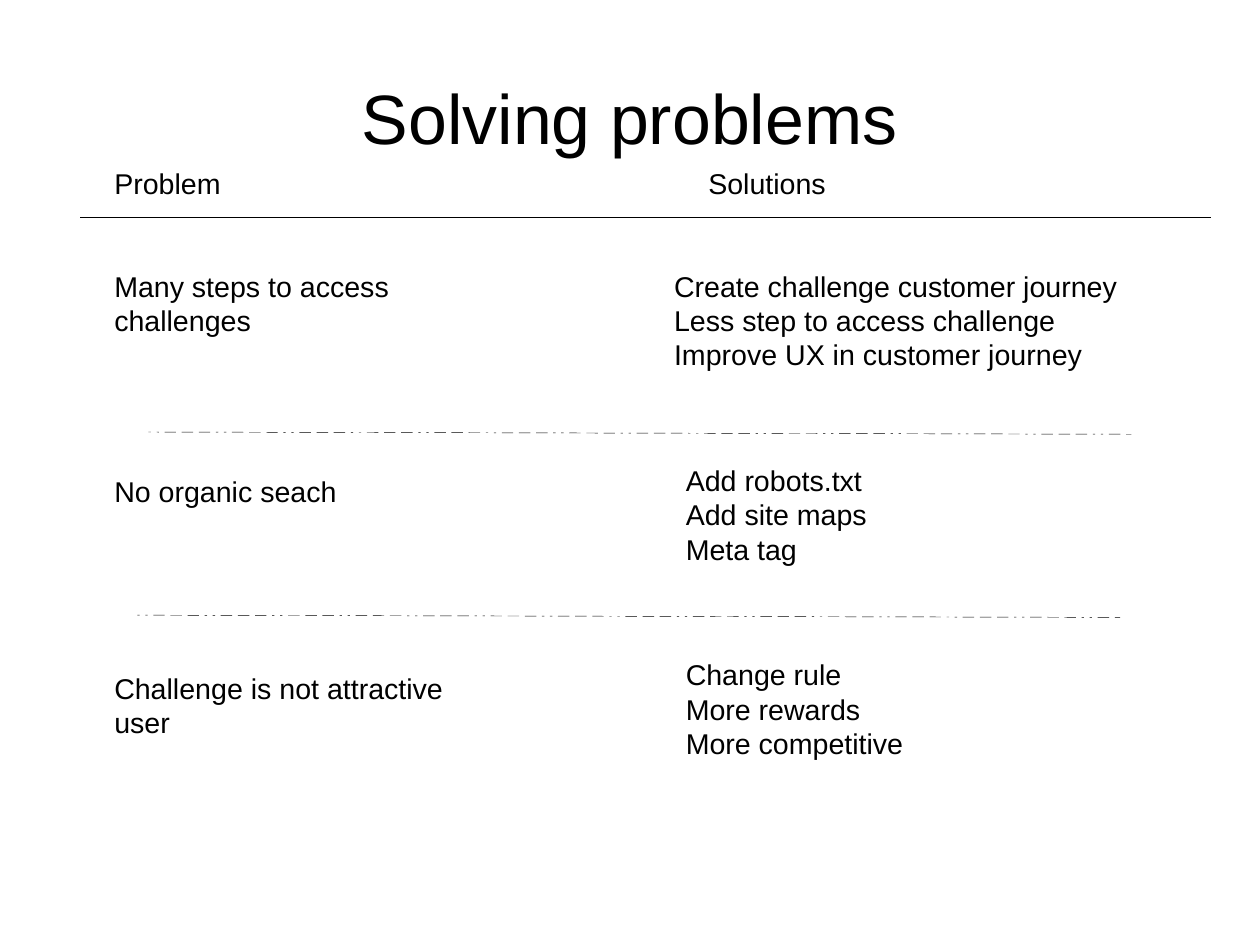
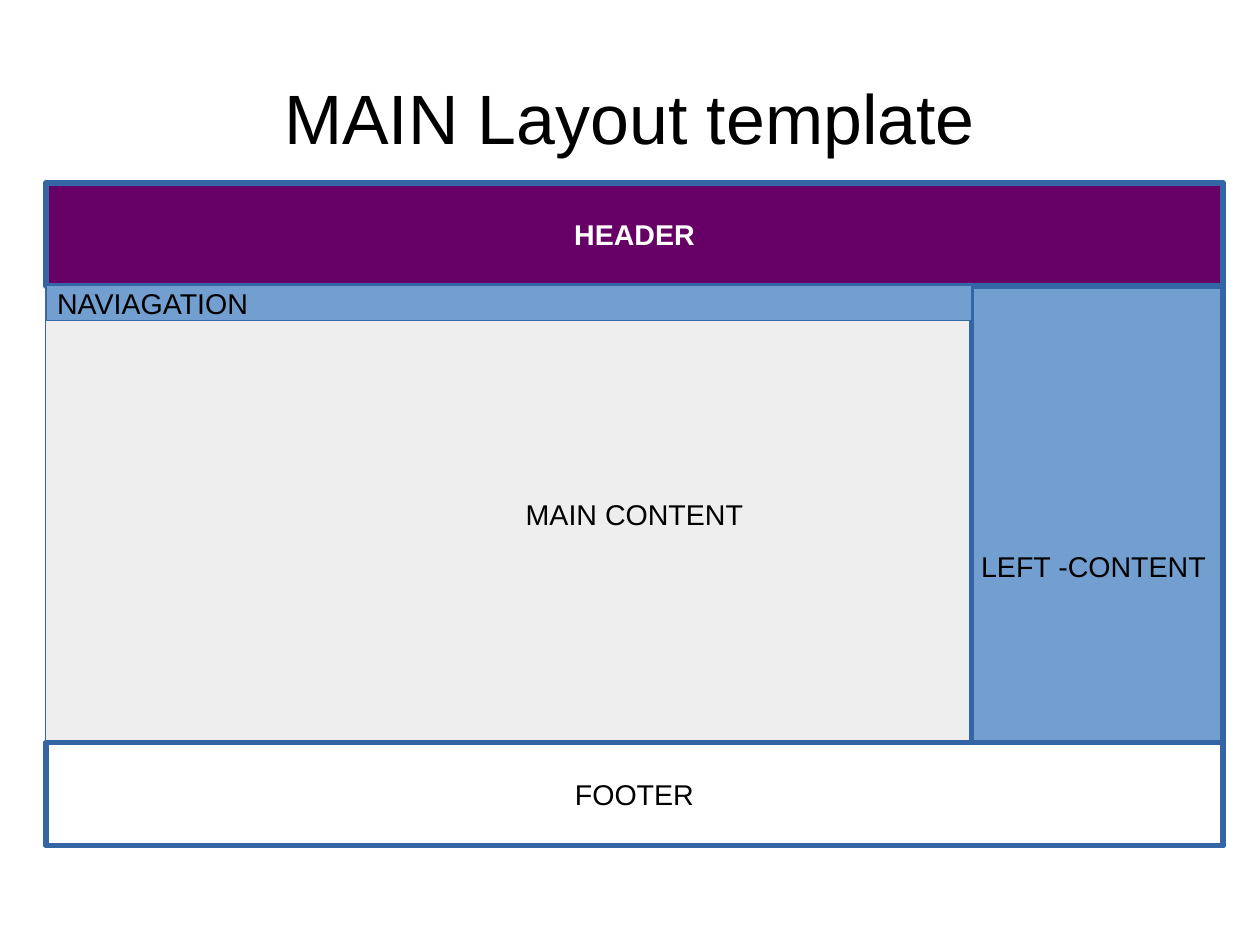
from lxml import etree
from pptx import Presentation
from pptx.dml.color import RGBColor
from pptx.enum.shapes import MSO_CONNECTOR, MSO_SHAPE
from pptx.enum.text import MSO_ANCHOR, MSO_AUTO_SIZE, PP_ALIGN
from pptx.oxml.ns import qn
from pptx.util import Cm, Pt

STRAIGHT = MSO_CONNECTOR.STRAIGHT
RECTANGLE = MSO_SHAPE.RECTANGLE
TOP, MIDDLE = MSO_ANCHOR.TOP, MSO_ANCHOR.MIDDLE
LEFT, CENTER = PP_ALIGN.LEFT, PP_ALIGN.CENTER
NO_AUTOFIT = MSO_AUTO_SIZE.NONE

BLACK = RGBColor(0x00, 0x00, 0x00)
WHITE = RGBColor(0xFF, 0xFF, 0xFF)
PURPLE = RGBColor(0x66, 0x00, 0x66)
GREY = RGBColor(0xEE, 0xEE, 0xEE)
SKY = RGBColor(0x72, 0x9F, 0xCF)
BLUE = RGBColor(0x34, 0x65, 0xA4)

FONT = "Arial"
TITLE_SIZE, BODY_SIZE = Pt(44), Pt(18)
TITLE_BOX = (1.4, 0.84, 25.2, 3.51)
TITLE_ONLY = 5
HAIRLINE = Cm(0.01)
THICK = Pt(3.6)

# Dash and gap lengths in thousandths of a percent of the line width
DOT, DASH, GAP = 510000, 2540000, 1270000
DIVIDER_DASHES = [DOT] * 2 + [DASH] * 3


def set_text(s, lines, size=BODY_SIZE, color=BLACK, bold=False, align=LEFT,
             anchor=TOP, wrap=True, inset=(0.25, 0.13)):
    """Write one paragraph per line into a shape and format it."""
    tf = s.text_frame
    side, end = (Cm(v) for v in inset)
    frame_format = {
        "auto_size": NO_AUTOFIT, "word_wrap": wrap, "vertical_anchor": anchor,
        "margin_left": side, "margin_right": side,
        "margin_top": end, "margin_bottom": end,
    }
    for name, value in frame_format.items():
        setattr(tf, name, value)
    for i, line in enumerate(lines):
        p = tf.paragraphs[0] if i == 0 else tf.add_paragraph()
        p.alignment = align
        r = p.add_run()
        r.text = line
        for name, value in {"name": FONT, "size": size, "bold": bold}.items():
            setattr(r.font, name, value)
        r.font.color.rgb = color


def add_titled_slide(prs, title):
    """Add a title-only slide with the shared title style."""
    slide = prs.slides.add_slide(prs.slide_layouts[TITLE_ONLY])
    s = slide.shapes.title
    for name, value in zip(("left", "top", "width", "height"), TITLE_BOX):
        setattr(s, name, Cm(value))
    set_text(s, [title], size=TITLE_SIZE, align=CENTER, anchor=MIDDLE,
             inset=(0, 0))
    return slide


def add_text(slide, x, y, w, h, *lines):
    """Add a wrapping text box."""
    s = slide.shapes.add_textbox(Cm(x), Cm(y), Cm(w), Cm(h))
    set_text(s, lines)


def add_line(slide, x1, y1, x2, y2, dashes=()):
    """Add a black hairline, dashed when dash lengths are given."""
    s = slide.shapes.add_connector(STRAIGHT, Cm(x1), Cm(y1), Cm(x2), Cm(y2))
    s.line.color.rgb = BLACK
    s.line.width = HAIRLINE
    sp = s._element.spPr
    if dashes:
        pattern = etree.SubElement(sp.find(qn("a:ln")), qn("a:custDash"))
        for length in dashes:
            etree.SubElement(pattern, qn("a:ds"), d=str(length), sp=str(GAP))
    etree.SubElement(sp, qn("a:effectLst"))


def add_region(slide, x, y, w, h, label, fill, border=THICK, **text_format):
    """Add a labelled rectangle of the page layout."""
    s = slide.shapes.add_shape(RECTANGLE, Cm(x), Cm(y), Cm(w), Cm(h))
    s.shadow.inherit = False
    s.fill.solid()
    s.fill.fore_color.rgb = fill
    s.line.color.rgb = BLUE
    s.line.width = border
    style = {"align": CENTER, "anchor": MIDDLE, "wrap": False, **text_format}
    set_text(s, [label], **style)


def build_problems(prs):
    """Build the slide that sets problems against solutions."""
    slide = add_titled_slide(prs, "Solving problems")
    problem_x, problem_w = 2.29, 8.89
    add_text(slide, problem_x, 3.56, 7.37, 0.97, "Problem")
    add_text(slide, 15.49, 3.56, 10.92, 0.97, "Solutions")
    add_line(slide, 1.78, 4.83, 26.92, 4.83)

    rows = [
        (5.84, "Many steps to access challenges", 14.73, 5.84,
         ["Create challenge customer journey", "Less step to access challenge",
          "Improve UX in customer journey"]),
        (10.41, "No organic seach", 14.99, 10.16,
         ["Add robots.txt", "Add site maps", "Meta tag"]),
        (14.78, "Challenge is not attractive user", 14.99, 14.48,
         ["Change rule", "More rewards", "More competitive"]),
    ]
    for problem_y, problem, solution_x, solution_y, solutions in rows:
        add_text(slide, problem_x, problem_y, problem_w, 1.68, problem)
        add_text(slide, solution_x, solution_y, 11.94, 2.39, *solutions)

    for x, y in [(3.3, 9.6), (3.05, 13.67)]:
        add_line(slide, x, y, x + 21.84, y + 0.05, DIVIDER_DASHES)


def build_layout(prs):
    """Build the slide that shows the regions of the page."""
    slide = add_titled_slide(prs, "MAIN Layout template")
    x, y, w, h = 1.02, 4.06, 26.16, 14.73
    band_h, side_w = 2.29, 5.59
    main_w, body_y = w - side_w, y + band_h
    thick_inset = (0.3, 0.18)

    add_region(slide, x, y, w, h, "MAIN CONTENT", GREY, Pt(0.71))
    add_region(slide, x, y, w, band_h, "HEADER", PURPLE, color=WHITE,
               bold=True, inset=thick_inset)
    add_region(slide, x + main_w, body_y, side_w, h - band_h,
               "LEFT -CONTENT ", SKY, inset=thick_inset)
    add_region(slide, x, y + h - band_h, w, band_h, "FOOTER", WHITE,
               inset=thick_inset)
    add_region(slide, x, body_y, main_w, 0.76, "NAVIAGATION", SKY, HAIRLINE,
               align=LEFT, wrap=True)


def main():
    """Build and save the presentation."""
    prs = Presentation()
    prs.slide_width, prs.slide_height = Cm(28), Cm(21)
    build_problems(prs)
    build_layout(prs)
    prs.save("out.pptx")


main()
